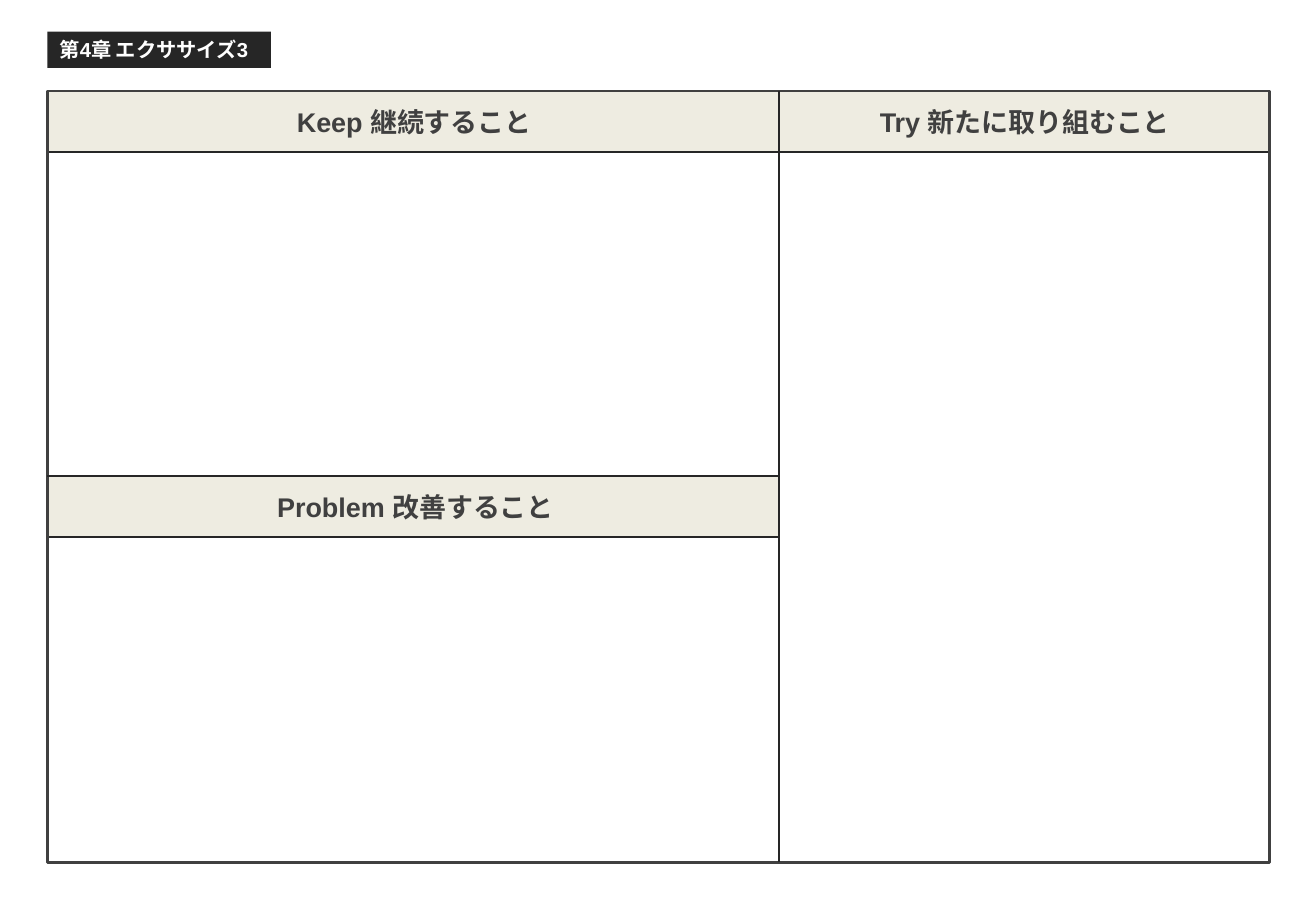
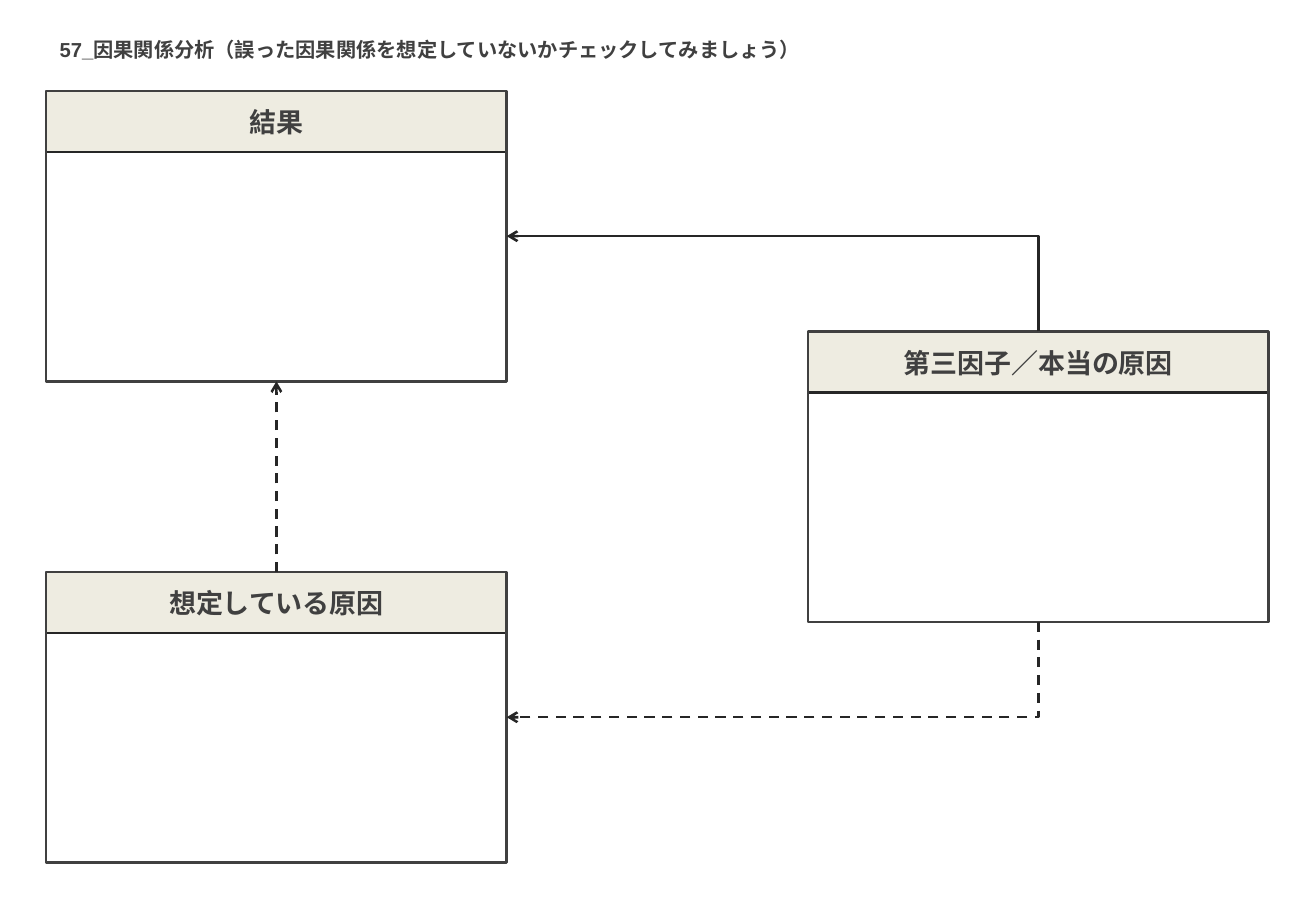
"""Build a Keep/Problem/Try board and a cause-and-effect worksheet."""
from lxml import etree
from pptx import Presentation
from pptx import util as u
from pptx.dml.color import RGBColor
from pptx.enum import dml, shapes, text
from pptx.oxml.ns import qn

PX = 9144
SLIDE_W, SLIDE_H = 1083, 750
INK = RGBColor(0x26, 0x26, 0x26)
GREY = RGBColor(0x40, 0x40, 0x40)
CREAM = RGBColor(0xEE, 0xEC, 0xE1)
WHITE = RGBColor(0xFF, 0xFF, 0xFF)
FONT = "Arial"
LINE_PT, TITLE_PT, LABEL_PT = 1.5, 12, 16
TITLE_LEFT, TITLE_TOP, TITLE_H = 39, 26, 30
BAND_H, LABEL_INSET, LABEL_H = 50, 7, 37
TOP, BOTTOM = 75, 710
SIDE_TOP, SIDE_LEFT, SIDE_BOTTOM, SIDE_RIGHT = range(4)

BOARD_TITLE = "第4章 エクササイズ3"
BOARD_TITLE_W = 184
BOARD_LEFT, BOARD_W = 39, 1006
SPLIT_X, SPLIT_Y = 641, 392
BOARD_BANDS = [
    (SPLIT_Y, SPLIT_X - BOARD_LEFT, [("Problem 改善すること", 42, 600)]),
    (TOP, BOARD_W, [("Keep 継続すること", 41, 600),
                    ("Try 新たに取り組むこと", 642, 403)]),
]
DIVIDERS = [((SPLIT_X, SPLIT_Y), (BOARD_LEFT, SPLIT_Y)),
            ((SPLIT_X, BOTTOM), (SPLIT_X, TOP))]

CAUSE_TITLE = "57_因果関係分析（誤った因果関係を想定していないかチェックしてみましょう）"
CAUSE_TITLE_W = 637
CARD_W, CARD_H = 379, 239
CARDS = {
    "third": ("第三因子／本当の原因", 665, 273),
    "result": ("結果", 38, TOP),
    "assumed": ("想定している原因", 38, BOTTOM - CARD_H),
}
BENT_ARROWS = [
    ("third", SIDE_TOP, "result", False),
    ("third", SIDE_BOTTOM, "assumed", True),
]


def emu(*lengths):
    return [u.Emu(round(length * PX)) for length in lengths]


def write(frame, words, size, color, align):
    frame.auto_size = text.MSO_AUTO_SIZE.NONE
    frame.vertical_anchor = text.MSO_ANCHOR.MIDDLE
    paragraph = frame.paragraphs[0]
    paragraph.alignment = align
    run = paragraph.add_run()
    run.text = words
    font = run.font
    font.name, font.size, font.bold = FONT, u.Pt(size), True
    font.color.rgb = color


def add_titled_slide(prs, title, width, color, fill=None):
    slide = prs.slides.add_slide(prs.slide_layouts[5])
    heading = slide.shapes.title
    heading.left, heading.top, heading.width, heading.height = emu(
        TITLE_LEFT, TITLE_TOP, width, TITLE_H)
    if fill is not None:
        heading.fill.solid()
        heading.fill.fore_color.rgb = fill
    write(heading.text_frame, title, TITLE_PT, color, text.PP_ALIGN.LEFT)
    heading.text_frame.word_wrap = False
    heading.text_frame.margin_right = 0
    return slide


def add_rect(parent, left, top, width, height, fill=None):
    rect = parent.add_shape(shapes.MSO_SHAPE.RECTANGLE,
                            *emu(left, top, width, height))
    rect.shadow.inherit = False
    if fill is not None:
        rect.fill.solid()
        rect.fill.fore_color.rgb = fill
        rect.line.fill.background()
    else:
        rect.fill.background()
        rect.line.color.rgb = GREY
        rect.line.width = u.Pt(LINE_PT)
    return rect


def add_line(parent, start=(0, 0), end=(0, 0), dashed=False, arrow=False,
             kind=shapes.MSO_CONNECTOR.STRAIGHT):
    line = parent.add_connector(kind, *emu(*start, *end))
    line.line.color.rgb = INK
    line.line.width = u.Pt(LINE_PT)
    if dashed:
        line.line.dash_style = dml.MSO_LINE.DASH
    properties = line.element.spPr
    if arrow:
        etree.SubElement(properties.find(qn("a:ln")), qn("a:tailEnd"), type="arrow")
    etree.SubElement(properties, qn("a:effectLst"))
    return line


def add_label(parent, words, left, band_top, width):
    label = parent.add_textbox(*emu(left, band_top + LABEL_INSET, width, LABEL_H))
    label.text_frame.word_wrap = True
    write(label.text_frame, words, LABEL_PT, GREY, text.PP_ALIGN.CENTER)


def add_band(parent, left, top, width, labels):
    add_rect(parent, left, top, width, BAND_H, CREAM)
    add_line(parent, (left, top + BAND_H), (left + width, top + BAND_H))
    for words, label_left, label_width in labels:
        add_label(parent, words, label_left, top, label_width)


def add_card(slide, words, left, top):
    group = slide.shapes.add_group_shape().shapes
    add_band(group, left, top, CARD_W, [(words, left, CARD_W)])
    return add_rect(group, left, top, CARD_W, CARD_H)


def add_bent_arrow(slide, source, side, target, dashed):
    arrow = add_line(slide.shapes, dashed=dashed, arrow=True,
                     kind=shapes.MSO_CONNECTOR.ELBOW)
    arrow.begin_connect(source, side)
    arrow.end_connect(target, SIDE_RIGHT)
    start_x, start_y = arrow.begin_x, arrow.begin_y
    end_x, end_y = arrow.end_x, arrow.end_y
    rise, run = abs(end_y - start_y), abs(end_x - start_x)
    arrow.left = u.Emu((start_x + end_x - rise) // 2)
    arrow.top = u.Emu((start_y + end_y - run) // 2)
    arrow.width, arrow.height = u.Emu(rise), u.Emu(run)
    properties = arrow.element.spPr
    properties.find(qn("a:prstGeom")).set("prst", "bentConnector2")
    upward = end_y < start_y
    frame = properties.find(qn("a:xfrm"))
    frame.set("rot", str((270 if upward else 90) * 60000))
    frame.set("flipH", "0")
    frame.set("flipV", "1" if upward else "0")


def build_board(prs):
    slide = add_titled_slide(prs, BOARD_TITLE, BOARD_TITLE_W, WHITE, INK)
    for top, width, labels in BOARD_BANDS:
        add_band(slide.shapes, BOARD_LEFT, top, width, labels)
    add_rect(slide.shapes, BOARD_LEFT, TOP, BOARD_W, BOTTOM - TOP)
    for start, end in DIVIDERS:
        add_line(slide.shapes, start, end)


def build_causes(prs):
    slide = add_titled_slide(prs, CAUSE_TITLE, CAUSE_TITLE_W, GREY)
    cards = {key: add_card(slide, *card) for key, card in CARDS.items()}
    for source, side, target, dashed in BENT_ARROWS:
        add_bent_arrow(slide, cards[source], side, cards[target], dashed)
    assumption = add_line(slide.shapes, dashed=True, arrow=True)
    assumption.begin_connect(cards["assumed"], SIDE_TOP)
    assumption.end_connect(cards["result"], SIDE_BOTTOM)


def main():
    prs = Presentation()
    prs.slide_width, prs.slide_height = emu(SLIDE_W, SLIDE_H)
    build_board(prs)
    build_causes(prs)
    prs.save("out.pptx")


if __name__ == "__main__":
    main()
